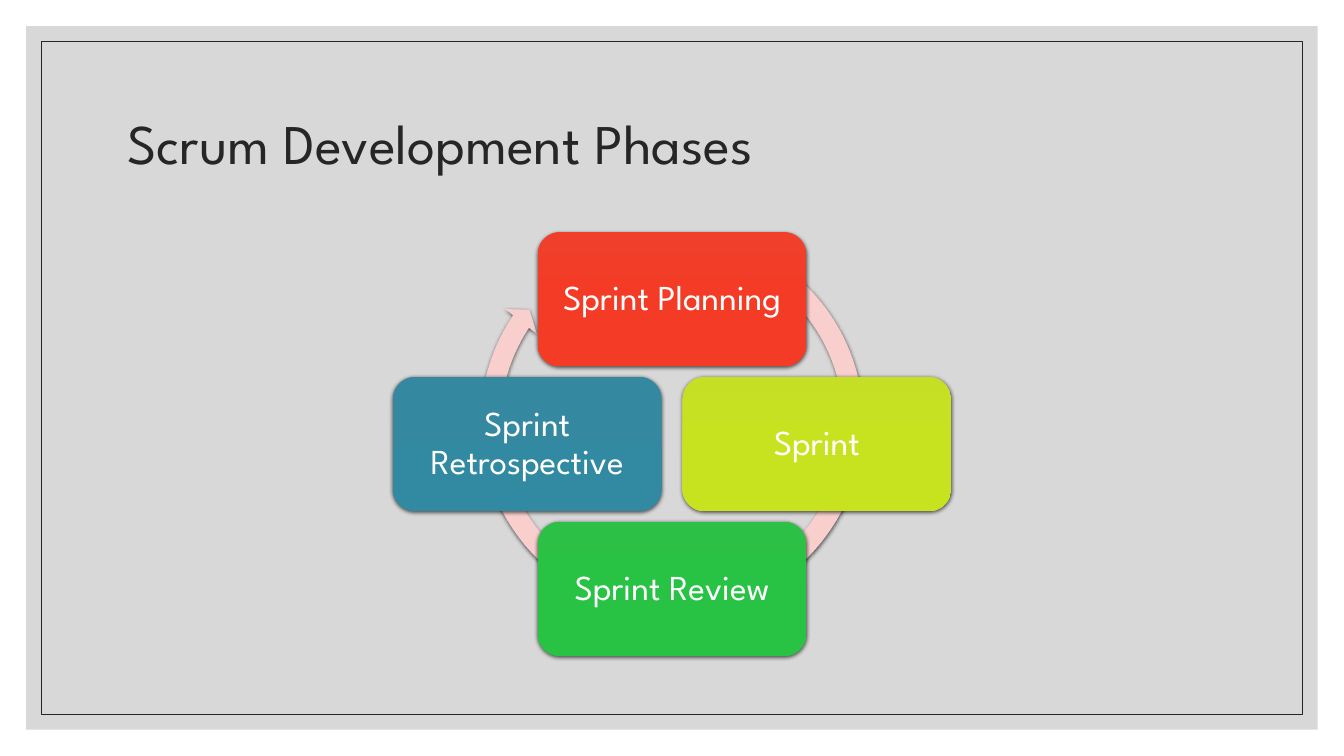
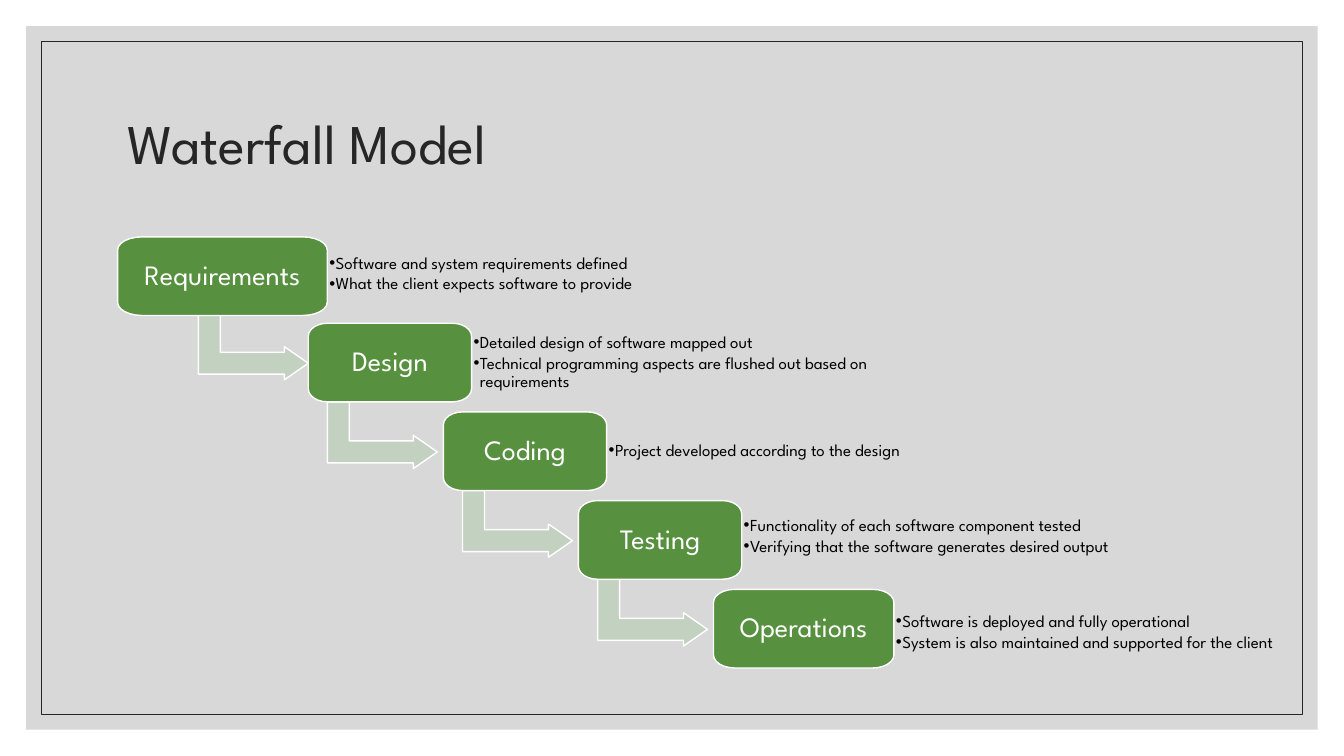
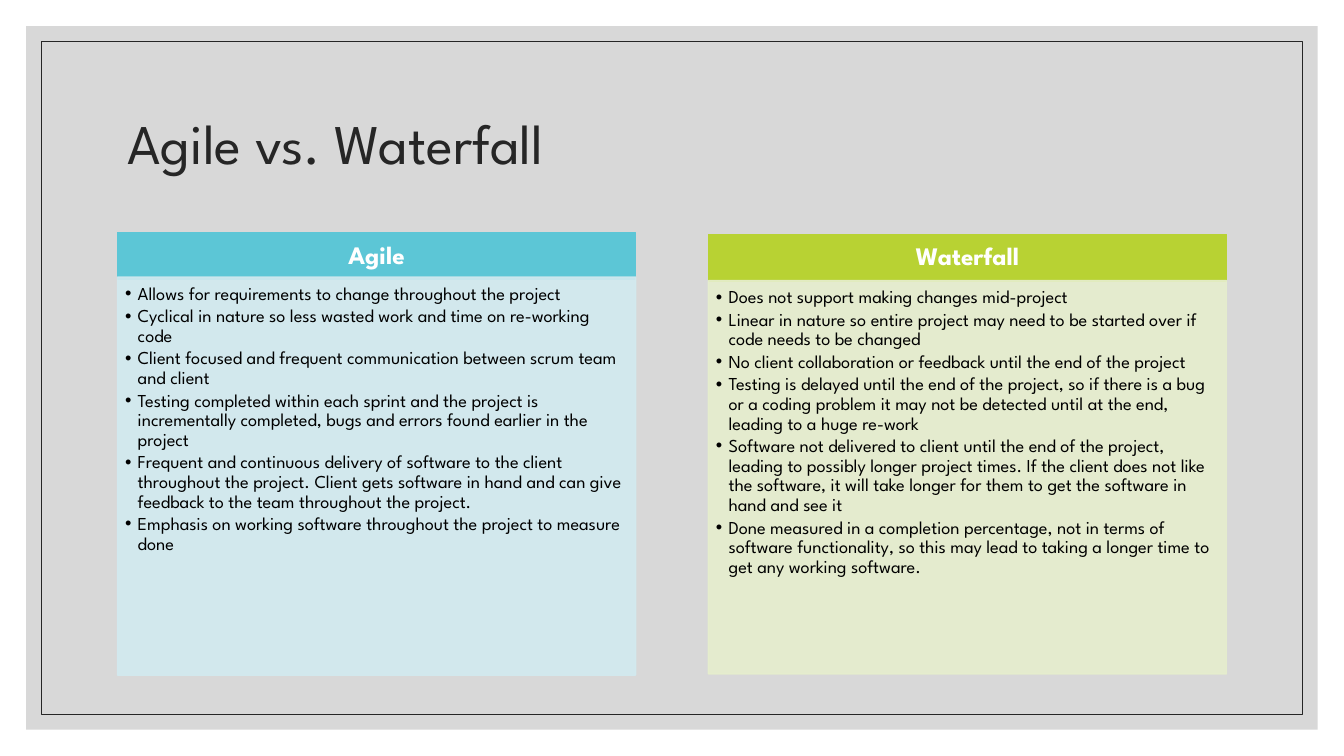
import copy
import math
import pptx
import pptx.util
import pptx.dml.color
import pptx.enum.shapes
import pptx.enum.text
import lxml.etree

deck = pptx.Presentation()
cols, rows = 160, 90
deck.slide_height = pptx.util.Inches(7.5)
deck.slide_width = deck.slide_height * cols // rows
unit = deck.slide_height / rows
kinds = pptx.enum.shapes.MSO_SHAPE
mid = pptx.enum.text.MSO_ANCHOR.MIDDLE
top = pptx.enum.text.MSO_ANCHOR.TOP
left = pptx.enum.text.PP_ALIGN.LEFT
center = pptx.enum.text.PP_ALIGN.CENTER
tint = pptx.dml.color.RGBColor.from_string
space = "{http://schemas.openxmlformats.org/drawingml/2006/main}"
ink, white, black = "262626", "FFFFFF", "000000"


def draw(slide, kind, box, fill=None, line=None, width=1, alpha=100):
    x, y, w, h = [round(unit * n) for n in box]
    if kind is None:
        return slide.shapes.add_textbox(x, y, w, h)
    if kind == "soft":
        rx, ry = w * 0.117, h / 6
        dots = []
        for k in range(28):
            turn = k // 7
            arc = math.radians(90 * turn + 15 * (k % 7))
            cx = x + w - rx if turn in (0, 3) else x + rx
            cy = y + h - ry if turn in (0, 1) else y + ry
            dots.append((round(cx + rx * math.cos(arc)), round(cy + ry * math.sin(arc))))
        edge = slide.shapes.build_freeform(*dots[0])
        edge.add_line_segments(dots[1:], close=True)
        shape = edge.convert_to_shape()
    else:
        shape = slide.shapes.add_shape(kind, x, y, w, h)
    shape.shadow.inherit = False
    if fill:
        shape.fill.solid()
        shape.fill.fore_color.rgb = tint(fill)
    else:
        shape.fill.background()
    if line:
        shape.line.color.rgb = tint(line)
        shape.line.width = pptx.util.Pt(width)
    else:
        shape.line.fill.background()
    if alpha < 100:
        for tone in shape._element.spPr.iter(space + "srgbClr"):
            lxml.etree.SubElement(tone, space + "alpha", val=str(alpha * 1000))
    return shape


def write(shape, lines, size, color, pad, align=center, anchor=mid, bold=False, dent=0):
    frame = shape.text_frame
    frame.word_wrap = True
    frame.vertical_anchor = anchor
    frame.margin_left = frame.margin_right = round(unit * pad)
    frame.margin_top = frame.margin_bottom = round(unit * pad)
    frame.text = "\n".join(lines)
    for para in frame.paragraphs:
        para.alignment = align
        para.line_spacing = 0.9
        if dent:
            para.space_after = pptx.util.Pt(size * 0.15)
            prop = para._p.get_or_add_pPr()
            prop.set("marL", str(round(unit * dent)))
            prop.set("indent", str(-round(unit * dent)))
            lxml.etree.SubElement(prop, space + "buFont", typeface="Arial")
            lxml.etree.SubElement(prop, space + "buChar", char="•")
        for run in para.runs:
            run.font.name = "League Spartan"
            run.font.size = pptx.util.Pt(size)
            run.font.bold = bold
            run.font.color.rgb = tint(color)


slides = []
for name in ("Scrum Development Phases", "Waterfall Model", "Agile vs. Waterfall"):
    slide = deck.slides.add_slide(deck.slide_layouts[6])
    for gap, fill, line, alpha in ((3.12, "BFBFBF", None, 60), (4.9, None, ink, 100)):
        box = (gap, gap, cols - 2 * gap, rows - 2 * gap)
        draw(slide, kinds.RECTANGLE, box, fill, line, 0.5, alpha)
    title = draw(slide, None, (14, 8.4, 132, 18))
    write(title, [name], 40, ink, 1.2, left)
    slides.append(slide)
scrum, fall, versus = slides

ring = draw(scrum, kinds.CIRCULAR_ARROW, (56, 26.28, 48, 48), "F9CFCD")
for k, value in enumerate((0.05, 2.73, 128.25, 180.35, 0.05)):
    ring.adjustments[k] = value
cycle = [ring]
step = 17.24
phases = (
    ("Sprint Planning", 0, -1, ("F03F2B", "F43B26", "F33B26")),
    ("Sprint", 1, 0, ("C5DF24", "C7E31F", "C6E21F")),
    ("Sprint Review", 0, 1, ("2CC047", "28C344", "28C244")),
    ("Sprint Retrospective", -1, 0, ("3488A0", "3189A2", "3188A1")),
)
for name, dx, dy, tones in phases:
    box = (64 + dx * step, 44.86 + dy * step, 32, 16)
    phase = draw(scrum, kinds.ROUNDED_RECTANGLE, box, tones[0])
    phase.fill.gradient()
    phase.fill.gradient_angle = 270
    first = phase._element.spPr.find(".//" + space + "gs")
    first.addnext(copy.deepcopy(first))
    for k, stop in enumerate(phase.fill.gradient_stops):
        stop.color.rgb = tint(tones[k])
        stop.position = k / 2
    write(phase, [name], 25, white, 1.2)
    cycle.append(phase)
for shape in cycle:
    glow = shape._element.spPr.find(space + "effectLst")
    cast = lxml.etree.SubElement(glow, space + "outerShdw", blurRad="38100", dist="12700", dir="5400000", rotWithShape="0")
    tone = lxml.etree.SubElement(cast, space + "srgbClr", val=black)
    lxml.etree.SubElement(tone, space + "alpha", val="63000")

stages = (
    ("Requirements", 14, 28.2, 24.96, 26.2, (28.84, 47.64, 7.56), (
        "Software and system requirements defined",
        "What the client expects software to provide")),
    ("Design", 36.7, 38.48, 19.44, 41.56, (39.36, 48.24, 7.56), (
        "Detailed design of software mapped out",
        "Technical programming aspects are flushed out based on requirements")),
    ("Coding", 52.78, 49.04, 19.44, 57.64, (49.92, 50.4, 7.56), (
        "Project developed according to the design",)),
    ("Testing", 68.86, 59.6, 19.44, 73.72, (59.6, 50.4, 8.52), (
        "Functionality of each software component tested",
        "Verifying that the software generates desired output")),
    ("Operations", 84.94, 70.16, 21.48, None, (71.04, 48.36, 8.52), (
        "Software is deployed and fully operational",
        "System is also maintained and supported for the client")),
)
for k, (name, x, y, wide, bend, (high, span, tall), notes) in enumerate(stages):
    if bend:
        arrow = draw(fall, kinds.BENT_UP_ARROW, (bend, stages[k + 1][2] - 3.75, 7.92, 13.08), "C3D1C0", white)
        arrow.rotation = 90
        for j, value in enumerate((0.33, 0.25, 0.36)):
            arrow.adjustments[j] = value
    stage = draw(fall, "soft", (x, y, wide, 9.36), "57903F", white)
    write(stage, [name], 20, white, 1)
    note = draw(fall, kinds.RECTANGLE, (x + wide, high, span, tall))
    write(note, notes, 12, black, 0.24, left, dent=0.76)

sides = (
    ("Agile", 14, 27.72, 32.98, 47.4, "5CC6D6", "D2EAF0", (
        "Allows for requirements to change throughout the project",
        "Cyclical in nature so less wasted work and time on re-working code",
        "Client focused and frequent communication between scrum team and client",
        "Testing completed within each sprint and the project is incrementally completed, bugs and errors found earlier in the project",
        "Frequent and continuous delivery of software to the client throughout the project. Client gets software in hand and can give feedback to the team throughout the project.",
        "Emphasis on working software throughout the project to measure done")),
    ("Waterfall", 84.34, 27.92, 33.4, 46.84, "B8D233", "E6EECD", (
        "Does not support making changes mid-project",
        "Linear in nature so entire project may need to be started over if code needs to be changed",
        "No client collaboration or feedback until the end of the project",
        "Testing is delayed until the end of the project, so if there is a bug or a coding problem it may not be detected until at the end, leading to a huge re-work",
        "Software not delivered to client until the end of the project, leading to possibly longer project times. If the client does not like the software, it will take longer for them to get the software in hand and see it",
        "Done measured in a completion percentage, not in terms of software functionality, so this may lead to taking a longer time to get any working software.")),
)
for name, x, y, low, tall, deep, pale, points in sides:
    head = draw(versus, kinds.RECTANGLE, (x, y, 61.68, 5.52), deep, deep)
    write(head, [name], 18, white, 1, bold=True)
    body = draw(versus, kinds.RECTANGLE, (x, low, 61.68, tall), pale, pale, 1, 90)
    write(body, points, 13, black, 0.9, left, top, dent=1.5)

deck.save("out.pptx")
